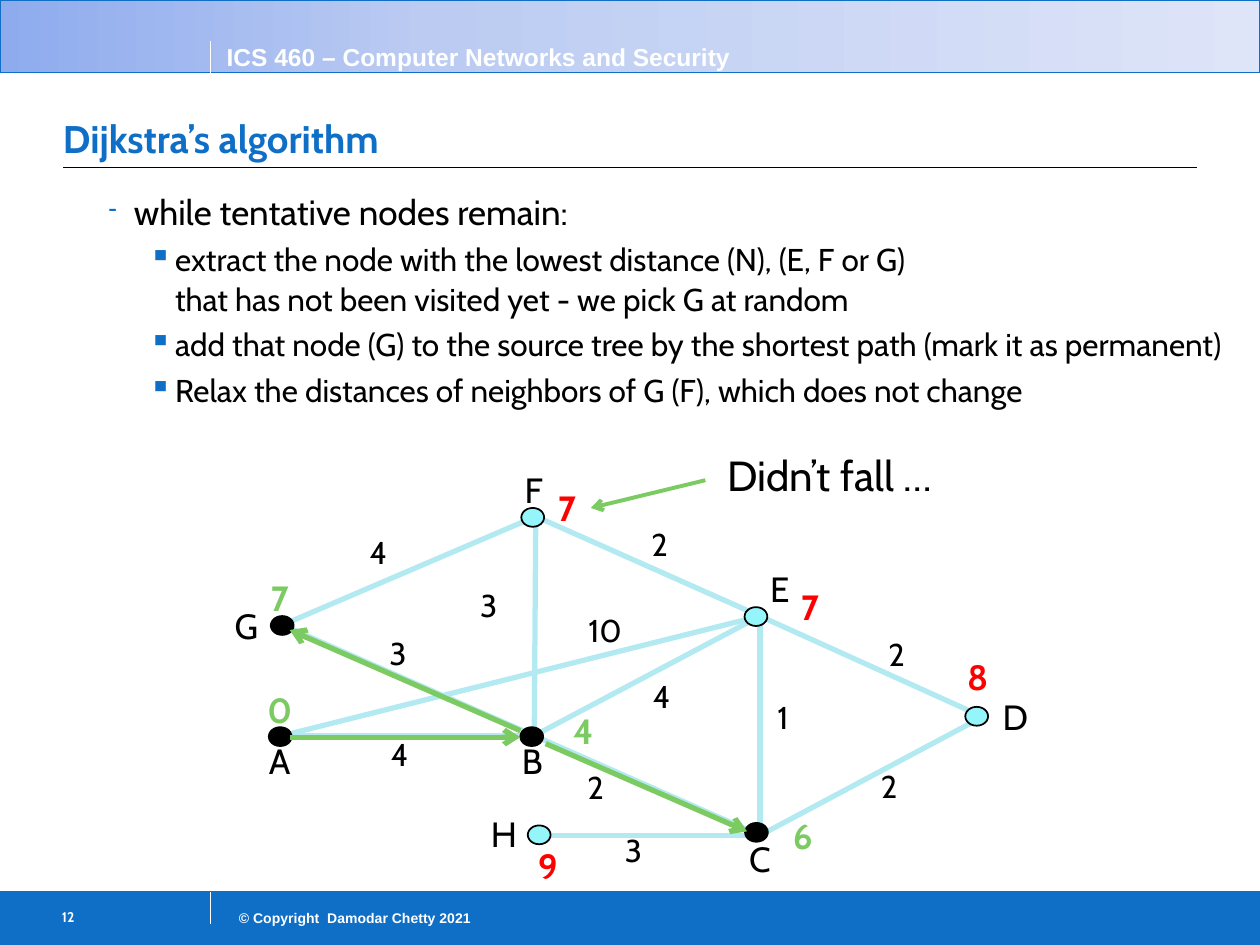
from copy import deepcopy
from dataclasses import dataclass

from lxml import etree
from pptx import Presentation
from pptx.dml.color import RGBColor
from pptx.enum.shapes import MSO_CONNECTOR, MSO_SHAPE
from pptx.enum.text import MSO_ANCHOR, PP_ALIGN
from pptx.oxml.ns import qn
from pptx.util import Cm, Pt

STRAIGHT = MSO_CONNECTOR.STRAIGHT
RECTANGLE, OVAL = MSO_SHAPE.RECTANGLE, MSO_SHAPE.OVAL
TOP, MIDDLE, BOTTOM = MSO_ANCHOR.TOP, MSO_ANCHOR.MIDDLE, MSO_ANCHOR.BOTTOM
LEFT, CENTER, RIGHT = PP_ALIGN.LEFT, PP_ALIGN.CENTER, PP_ALIGN.RIGHT


@dataclass(frozen=True)
class Theme:
    blue: str = "0F6FC6"
    black: str = "000000"
    white: str = "FFFFFF"
    green: str = "7CCA62"
    red: str = "FF0000"
    edge: str = "B3EAF2"
    open_node: str = "94F5FA"
    header: tuple = ((0, "8EABEE"), (0.34, "BBCBF2"), (1, "DEE5F8"))
    font: str = "Cabin"
    banner_font: str = "Arial"
    title: int = 22
    callout: int = 24
    large: int = 20
    medium: int = 18
    banner: int = 14
    small: int = 8


THEME = Theme()
NO_INSETS = (0, 0, 0, 0)
BOX_INSETS = (0.25, 0.13, 0.25, 0.13)
SLIDE_WIDTH, SLIDE_HEIGHT = 25.4, 19.05
HEADER_BOTTOM, FOOTER_TOP, DIVIDER_X = 1.47, 17.98, 4.24

# Node: edge end, disc centre, name centre, distance centre, distance, visited
NODES = {
    "A": ((5.69, 14.83), (5.65, 14.85), (5.64, 15.33), (5.64, 14.3), "0", True),
    "B": ((10.77, 14.83), (10.72, 14.85), (10.73, 15.33), (11.76, 14.73), "4", True),
    "C": ((15.32, 16.84), (15.25, 16.78), (15.32, 17.31), (16.18, 16.84), "6", True),
    "D": ((19.81, 14.45), (19.69, 14.44), (20.47, 14.44), (19.71, 13.64), "8", False),
    "E": ((15.32, 12.42), (15.24, 12.43), (15.72, 11.87), (16.33, 12.22), "7", False),
    "F": ((10.8, 10.41), (10.74, 10.43), (10.76, 9.87), (11.43, 10.24), "7", False),
    "G": ((5.69, 12.6), (5.69, 12.61), (4.97, 12.61), (5.64, 12.04), "7", True),
    "H": ((10.77, 16.84), (10.87, 16.83), (10.16, 16.8), (11.05, 17.45), "9", False),
}

# Edge: its two nodes, weight, left and top of the weight
EDGES = [
    ("AB", "4", 7.75, 14.81), ("BC", "2", 11.71, 15.49), ("CE", "1", 15.54, 14.07),
    ("BE", "4", 13.03, 13.64), ("AE", "10", 11.73, 12.32), ("BF", "3", 9.55, 11.81),
    ("BG", "3", 7.72, 12.78), ("GF", "4", 7.32, 10.74), ("FE", "2", 13, 10.59),
    ("ED", "2", 17.78, 12.8), ("CD", "2", 17.63, 15.47), ("CH", "3", 12.47, 16.76),
]

TREE_ARROWS = [
    ((5.84, 14.86), (10.49, 14.86)),
    ((11, 14.99), (15.06, 16.76)),
    ((10.49, 14.73), (5.84, 12.7)),
]

# Bullet level: sign, size in percent, margin, hanging indent, type size
LEVELS = {
    1: ("-", 70, 1.3, 0.51, THEME.large),
    2: ("▪", 100, 2.13, 0.53, THEME.medium),
}

STEPS = [
    (1, "while tentative nodes remain:"),
    (2, "extract the node with the lowest distance (N), (E, F or G) \v"
        "that has not been visited yet - we pick G at random"),
    (2, "add that node (G) to the source tree by the shortest path (mark it as permanent)"),
    (2, "Relax the distances of neighbors of G (F), which does not change"),
]


def apply_format(target, values):
    for name, value in values.items():
        setattr(target, name, value)


def format_runs(paragraph, size, color, bold=False, font=THEME.font):
    for run in paragraph.runs:
        apply_format(run.font, {"name": font, "size": Pt(size), "bold": bold})
        run.font.color.rgb = RGBColor.from_string(color)


def add_box(slide, left, top, width, height, insets=BOX_INSETS, anchor=TOP):
    box = slide.shapes.add_textbox(Cm(left), Cm(top), Cm(width), Cm(height))
    frame = box.text_frame
    sides = ("margin_left", "margin_top", "margin_right", "margin_bottom")
    apply_format(frame, dict(zip(sides, map(Cm, insets))))
    apply_format(frame, {"word_wrap": True, "vertical_anchor": anchor})
    return frame


def add_text(slide, text, place, size, color=THEME.black, align=LEFT,
             spacing=1.0, insets=BOX_INSETS, anchor=TOP, **font_format):
    paragraph = add_box(slide, *place, insets, anchor).paragraphs[0]
    apply_format(paragraph, {"text": text, "alignment": align, "line_spacing": spacing})
    format_runs(paragraph, size, color, **font_format)


def add_centered_text(slide, text, center, width, height, size, **options):
    place = (center[0] - width / 2, center[1] - height / 2, width, height)
    add_text(slide, text, place, size, align=CENTER, insets=NO_INSETS, **options)


def add_line(slide, start, end, color, width, arrow=False):
    points = [Cm(value) for value in (*start, *end)]
    connector = slide.shapes.add_connector(STRAIGHT, *points)
    connector.line.color.rgb = RGBColor.from_string(color)
    connector.line.width = Pt(width)
    if arrow:
        etree.SubElement(connector.line._get_or_add_ln(), qn("a:tailEnd"), type="arrow")
    etree.SubElement(connector._element.spPr, qn("a:effectLst"))


def add_filled(slide, kind, left, top, width, height, fill, line, line_width):
    shape = slide.shapes.add_shape(kind, Cm(left), Cm(top), Cm(width), Cm(height))
    shape.shadow.inherit = False
    shape.fill.solid()
    shape.fill.fore_color.rgb = RGBColor.from_string(fill)
    shape.line.color.rgb = RGBColor.from_string(line)
    shape.line.width = Pt(line_width)
    return shape


def fill_gradient(shape, colors):
    shape.fill.gradient()
    shape.fill.gradient_angle = 0
    stop_list = shape._element.spPr.find(".//" + qn("a:gsLst"))
    stop_list.append(deepcopy(stop_list[0]))
    for stop, (position, color) in zip(shape.fill.gradient_stops, colors):
        stop.position = position
        stop.color.rgb = RGBColor.from_string(color)


def add_bullet(paragraph, level):
    sign, percent, margin, hanging, size = LEVELS[level]
    apply_format(paragraph, {"line_spacing": 1.04, "space_before": Pt(size * 0.2)})
    properties = paragraph._p.get_or_add_pPr()
    properties.set("marL", str(Cm(margin)))
    properties.set("indent", str(-Cm(hanging)))
    color = etree.SubElement(properties, qn("a:buClr"))
    etree.SubElement(color, qn("a:srgbClr"), val=THEME.blue)
    etree.SubElement(properties, qn("a:buSzPct"), val=str(percent * 1000))
    etree.SubElement(properties, qn("a:buChar"), char=sign)
    format_runs(paragraph, size, THEME.black)


def add_frame(slide):
    # Footer and header bands
    add_filled(slide, RECTANGLE, 0, FOOTER_TOP, SLIDE_WIDTH, SLIDE_HEIGHT - FOOTER_TOP,
               THEME.blue, THEME.blue, 0.75)
    header = add_filled(slide, RECTANGLE, 0, 0, SLIDE_WIDTH, HEADER_BOTTOM,
                        THEME.white, THEME.blue, 0.75)
    fill_gradient(header, THEME.header)
    # Band edges, dividers and title rule
    for y in (HEADER_BOTTOM, FOOTER_TOP):
        add_line(slide, (0, y), (SLIDE_WIDTH, y), THEME.blue, 0.5)
    for top in (HEADER_BOTTOM - 0.64, FOOTER_TOP):
        add_line(slide, (DIVIDER_X, top), (DIVIDER_X, top + 0.64), THEME.white, 0.75)
    add_line(slide, (1.27, 3.38), (24.13, 3.38), THEME.black, 0.75)
    # Band texts
    add_text(slide, "ICS 460 – Computer Networks and Security", (4.32, 0.71, 10.92, 0.86),
             THEME.banner, THEME.white, bold=True, font=THEME.banner_font)
    add_text(slide, "© Copyright  Damodar Chetty 2021", (4.04, 18.21, 5.71, 0.61),
             THEME.small, THEME.white, RIGHT, bold=True, font=THEME.banner_font)
    add_text(slide, "12", (0.84, 18.14, 3.38, 0.89), THEME.small, THEME.white,
             insets=(0.41, 0.18, 0.25, 0.13), bold=True)


def add_steps(slide):
    frame = add_box(slide, 1.27, 3.68, 24.13, 5.2, (0.13, 0.13, 0.13, 0.13))
    for index, (level, text) in enumerate(STEPS):
        paragraph = frame.add_paragraph() if index else frame.paragraphs[0]
        paragraph.text = text
        add_bullet(paragraph, level)


def add_graph(slide):
    # Edges below the nodes
    for (first, second), *_ in EDGES:
        add_line(slide, NODES[first][0], NODES[second][0], THEME.edge, 3)
    # Nodes with names and distances
    for name, (_, disc, label, mark, distance, visited) in NODES.items():
        add_filled(slide, OVAL, disc[0] - 0.23, disc[1] - 0.19, 0.46, 0.38,
                   THEME.black if visited else THEME.open_node, THEME.black, 1)
        add_centered_text(slide, name, label, 1.47, 1.09, THEME.large, anchor=MIDDLE)
        add_centered_text(slide, distance, mark, 0.86, 0.86, THEME.large, bold=True,
                          color=THEME.green if visited else THEME.red, anchor=MIDDLE)
    # Edge weights
    for _, weight, left, top in EDGES:
        add_text(slide, weight, (left, top, 1.45, 0.76), THEME.medium,
                 insets=(0.13, 0, 0.13, 0))
    # Shortest path tree
    for start, end in TREE_ARROWS:
        add_line(slide, start, end, THEME.green, 3, arrow=True)


def main():
    presentation = Presentation()
    apply_format(presentation, {"slide_width": Cm(SLIDE_WIDTH), "slide_height": Cm(SLIDE_HEIGHT)})
    slide = presentation.slides.add_slide(presentation.slide_layouts[6])
    add_frame(slide)
    add_text(slide, "Dijkstra’s algorithm", (1.27, 1.55, 22.86, 1.83), THEME.title,
             THEME.blue, insets=(0, 0.13, 0, 0.13), anchor=BOTTOM, bold=True)
    add_steps(slide)
    add_graph(slide)
    # Remark on node F
    add_line(slide, (14.22, 9.68), (11.91, 10.24), THEME.green, 2.25, arrow=True)
    add_text(slide, "Didn’t fall …", (13.18, 9.12, 7.09, 1.09), THEME.callout,
             align=CENTER, spacing=0.8)
    presentation.save("out.pptx")


if __name__ == "__main__":
    main()
